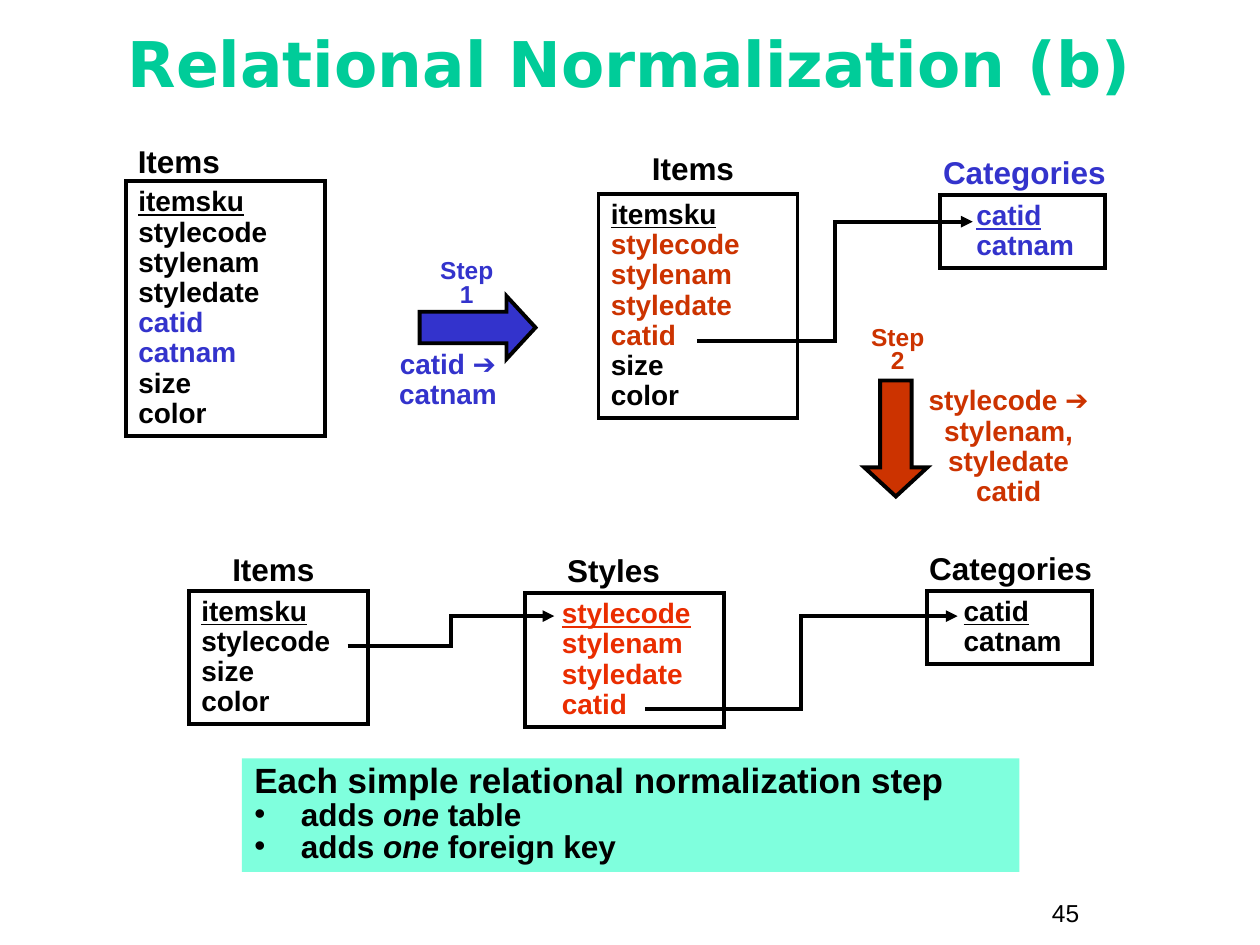
from dataclasses import dataclass

from lxml.etree import SubElement
from pptx import Presentation
from pptx.dml.color import RGBColor
from pptx.enum.shapes import MSO_CONNECTOR as Connector, MSO_SHAPE as Shape
from pptx.enum.text import MSO_ANCHOR as Anchor, PP_ALIGN as Align
from pptx.oxml.ns import qn
from pptx.util import Inches, Pt


@dataclass(frozen=True)
class Theme:
    black: str = "000000"
    green: str = "00CC99"
    mint: str = "7FFFDD"
    blue: str = "3333CC"
    rust: str = "CC3300"
    red: str = "EA2D00"
    body_font: str = "Arial"
    title_font: str = "DejaVu Sans"
    title_size: int = 36
    summary_size: int = 20
    label_size: int = 18
    field_size: int = 16
    small_size: int = 14
    line_width: float = 2.25
    key_indent: float = 0.19
    bullet_indent: float = 0.37


class SlideBuilder:
    def __init__(self, slide, theme):
        self.shapes = slide.shapes
        self.theme = theme

    def run(self, paragraph, text, size, color, bold=True, font=None):
        run = paragraph.add_run()
        run.text = text
        run.font.name = font or self.theme.body_font
        run.font.size = Pt(size)
        run.font.bold = bold
        run.font.color.rgb = RGBColor.from_string(color)
        return run

    def text(self, box, lines, size, color, spacing=1.0, align=Align.CENTER,
             anchor=Anchor.TOP, bold=True, font=None):
        """Place one paragraph whose lines are parted by line breaks."""
        frame = self.shapes.add_textbox(*map(Inches, box)).text_frame
        frame.word_wrap = True
        frame.vertical_anchor = anchor
        paragraph = frame.paragraphs[0]
        paragraph.alignment = align
        paragraph.line_spacing = spacing
        for index, line in enumerate(lines):
            if index:
                paragraph.add_line_break()
            self.run(paragraph, line, size, color, bold, font)
        return frame

    def label(self, box, name, color):
        """Name a relation, using the full box width to stay on one line."""
        frame = self.text(box, [name], self.theme.label_size, color,
                          anchor=Anchor.MIDDLE)
        frame.margin_left = frame.margin_right = 0

    def block(self, kind, box, fill=None, outlined=True):
        block = self.shapes.add_shape(kind, *map(Inches, box))
        block.shadow.inherit = False
        if fill:
            block.fill.solid()
            block.fill.fore_color.rgb = RGBColor.from_string(fill)
        else:
            block.fill.background()
        if outlined:
            self.outline(block)
        else:
            block.line.fill.background()
        block.text_frame.vertical_anchor = Anchor.TOP
        return block

    def outline(self, shape):
        """Give a black line with sharp corners and return its XML."""
        shape.line.color.rgb = RGBColor.from_string(self.theme.black)
        shape.line.width = Pt(self.theme.line_width)
        line = shape._element.spPr.get_or_add_ln()
        SubElement(line, qn("a:miter"), lim="800000")
        return line

    def paragraph(self, frame, index, spacing):
        paragraph = frame.add_paragraph() if index else frame.paragraphs[0]
        paragraph.alignment = Align.LEFT
        paragraph.line_spacing = spacing
        return paragraph

    def relation(self, box, fields, indent=0):
        """Draw a relation; its first field is the underlined primary key."""
        frame = self.block(Shape.RECTANGLE, box).text_frame
        for index, (field, color) in enumerate(fields):
            paragraph = self.paragraph(frame, index, 0.9)
            if indent:
                paragraph._p.get_or_add_pPr().set("marL", str(Inches(indent)))
            run = self.run(paragraph, field, self.theme.field_size, color)
            if index == 0:
                run.font.underline = True

    def step_arrow(self, box, color, rotation=0):
        arrow = self.block(Shape.RIGHT_ARROW, box, color)
        arrow.adjustments[1] = 0.46
        arrow.rotation = rotation

    def foreign_key(self, start, end):
        link = self.shapes.add_connector(Connector.ELBOW, *map(Inches, start + end))
        SubElement(self.outline(link), qn("a:tailEnd"), type="triangle")
        SubElement(link._element.spPr, qn("a:effectLst"))

    def summary(self, box, heading, bullets):
        theme = self.theme
        frame = self.block(Shape.RECTANGLE, box, theme.mint, outlined=False).text_frame
        frame.word_wrap = True
        self.run(self.paragraph(frame, 0, 0.85), heading,
                 theme.summary_size, theme.black)
        for index, parts in enumerate(bullets, start=1):
            paragraph = self.paragraph(frame, index, 0.85)
            properties = paragraph._p.get_or_add_pPr()
            properties.set("marL", str(Inches(theme.bullet_indent)))
            properties.set("indent", str(-Inches(theme.bullet_indent)))
            SubElement(properties, qn("a:buFont"), typeface=theme.body_font)
            SubElement(properties, qn("a:buChar"), char="•")
            for text, italic in parts:
                run = self.run(paragraph, text, theme.label_size, theme.black)
                run.font.italic = italic


def colored(names, color):
    return [(name, color) for name in names.split()]


def main():
    deck = Presentation()
    deck.slide_width, deck.slide_height = Inches(10), Inches(7.5)
    theme = Theme()
    slide = SlideBuilder(deck.slides.add_slide(deck.slide_layouts[6]), theme)
    black, blue, rust = theme.black, theme.blue, theme.rust

    slide.text((0.33, 0.08, 9.33, 0.92), ["Relational Normalization (b)"],
               theme.title_size, theme.green, spacing=0.85,
               anchor=Anchor.MIDDLE, font=theme.title_font)
    slide.text((8.25, 7.08, 0.92, 0.34), ["45"], theme.small_size, black,
               align=Align.LEFT, bold=False)

    for box, name, color in (
        ((0.92, 0.94, 1, 0.67), "Items", black),
        ((5, 1, 1, 0.67), "Items", black),
        ((7.42, 1.03, 1.42, 0.67), "Categories", blue),
        ((1.67, 4.3, 1, 0.43), "Items", black),
        ((4.33, 4.35, 1.08, 0.34), "Styles", black),
        ((7.31, 4.17, 1.42, 0.67), "Categories", black),
    ):
        slide.label(box, name, color)

    style_fields = "stylecode stylenam styledate"
    category_fields = "catid catnam"
    slide.relation((1, 1.44, 1.58, 2.02),
                   colored("itemsku " + style_fields, black)
                   + colored(category_fields, blue)
                   + colored("size color", black))
    slide.relation((4.75, 1.54, 1.58, 1.78),
                   colored("itemsku", black)
                   + colored(style_fields + " catid", rust)
                   + colored("size color", black))
    slide.relation((7.46, 1.55, 1.31, 0.58),
                   colored(category_fields, blue), theme.key_indent)
    slide.relation((1.5, 4.69, 1.42, 1.06),
                   colored("itemsku stylecode size color", black))
    slide.relation((4.17, 4.71, 1.58, 1.06),
                   colored(style_fields + " catid", theme.red), theme.key_indent)
    slide.relation((7.36, 4.69, 1.31, 0.58),
                   colored(category_fields, black), theme.key_indent)

    for start, end in (
        ((5.53, 2.71), (7.72, 1.76)),
        ((2.76, 5.13), (4.4, 4.89)),
        ((5.12, 5.63), (7.6, 4.89)),
    ):
        slide.foreign_key(start, end)

    slide.step_arrow((3.33, 2.35, 0.92, 0.5), blue)
    slide.step_arrow((6.65, 3.23, 0.92, 0.5), rust, rotation=90)
    for box, step, color in (
        ((3.33, 2.02, 0.75, 0.48), "Step 1", blue),
        ((6.75, 2.55, 0.75, 0.48), "Step 2", rust),
    ):
        slide.text(box, [step], theme.small_size, color, spacing=0.8)
    for box, dependency, color in (
        ((2.89, 2.73, 1.33, 0.58), ["catid ➔ catnam"], blue),
        ((7.17, 3.02, 1.67, 1.06),
         ["stylecode ➔ stylenam, styledate", "catid"], rust),
    ):
        slide.text(box, dependency, theme.field_size, color, spacing=0.9)

    slide.summary((1.92, 6.02, 6.17, 0.9),
                  "Each simple relational normalization step",
                  [[("adds ", False), ("one", True), (added, False)]
                   for added in (" table", " foreign key")])
    deck.save("out.pptx")


if __name__ == "__main__":
    main()
